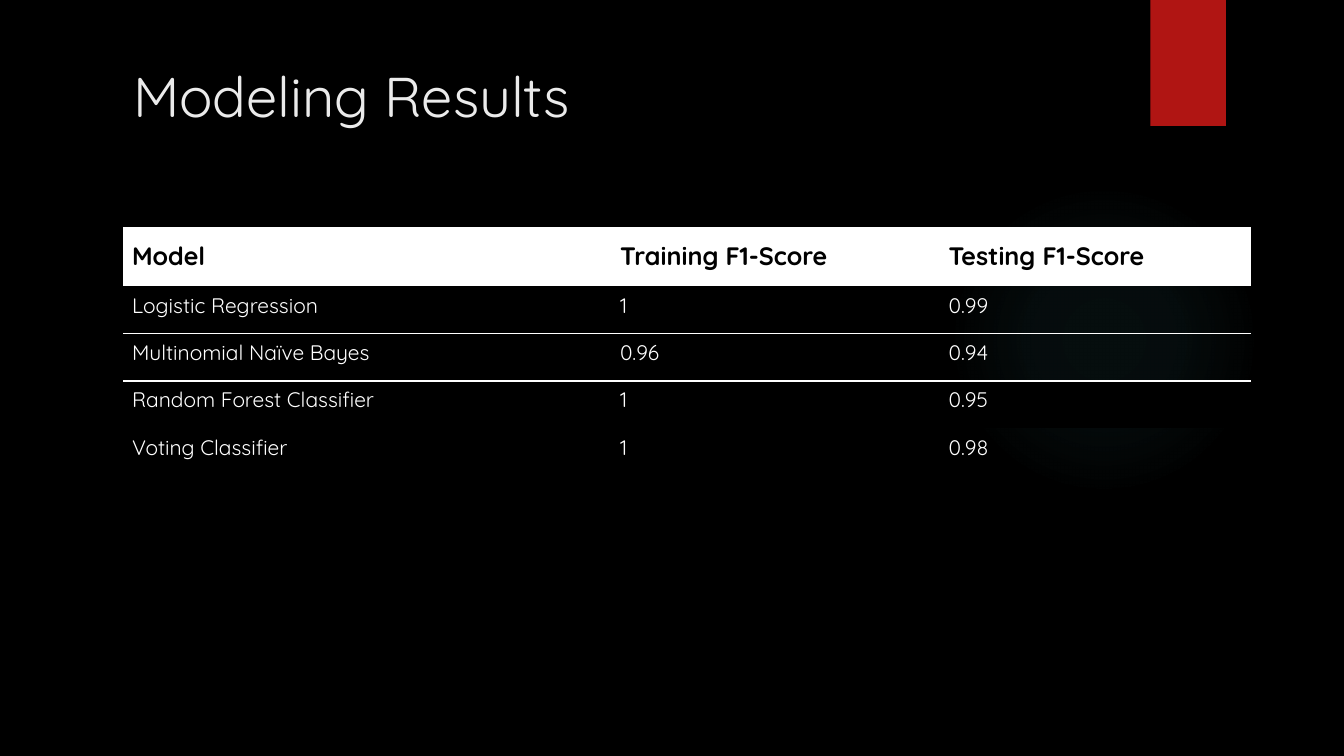
from dataclasses import dataclass

from pptx import Presentation
from pptx.dml.color import RGBColor
from pptx.enum.shapes import MSO_SHAPE as Shape
from pptx.enum.text import MSO_ANCHOR as Anchor, PP_ALIGN as Align
from pptx.oxml import parse_xml
from pptx.oxml.ns import nsdecls, qn
from pptx.util import Inches, Pt


@dataclass(frozen=True)
class Theme:
    font: str = "Quicksand"
    black: str = "000000"
    white: str = "FFFFFF"
    title: str = "EBEBEB"
    ribbon: str = "B01513"
    glow: str = "50B9C1"
    title_size: int = 40
    header_size: int = 18
    body_size: int = 15


THEME = Theme()
PLAIN_TABLE_STYLE = "{2D5ABB26-0587-4C30-8999-92F81FD0307C}"
COLUMN_WIDTHS = (4.84, 3.26, 3.09)
HEADER_HEIGHT, ROW_HEIGHT = 0.59, 0.47
RESULTS = (
    ("Model", "Training F1-Score", "Testing F1-Score"),
    ("Logistic Regression", "1", "0.99"),
    ("Multinomial Naïve Bayes", "0.96", "0.94"),
    ("Random Forest Classifier", "1", "0.95"),
    ("Voting Classifier", "1", "0.98"),
)
RULED_ROWS = (1, 2)
BLACK_ROW = 3


def format_text(frame, size, color, bold=False):
    for para in frame.paragraphs:
        para.alignment = Align.LEFT
        for span in para.runs:
            span.font.name = THEME.font
            span.font.size = Pt(size)
            span.font.bold = bold
            span.font.color.rgb = RGBColor.from_string(color)


def add_plain_shape(page, kind, box):
    shape = page.shapes.add_shape(kind, *map(Inches, box))
    shape.shadow.inherit = False
    shape.line.fill.background()
    return shape


def add_glow(page, box):
    """Add a circle that fades out from its centre."""
    glow = add_plain_shape(page, Shape.OVAL, box)
    glow.fill.background()
    stops = "".join(
        f'<a:gs pos="{place * 1000}"><a:srgbClr val="{THEME.glow}">'
        f'<a:alpha val="{alpha * 1000}"/></a:srgbClr></a:gs>'
        for place, alpha in ((0, 7), (36, 6), (69, 0))
    )
    gradient = parse_xml(
        f'<a:gradFill {nsdecls("a")} rotWithShape="1"><a:gsLst>{stops}</a:gsLst>'
        '<a:path path="circle"><a:fillToRect l="50000" t="50000" r="50000" '
        'b="50000"/></a:path></a:gradFill>'
    )
    properties = glow.element.spPr
    properties.replace(properties.find(qn("a:noFill")), gradient)


def add_ribbon(page, box):
    ribbon = add_plain_shape(page, Shape.RECTANGLE, box)
    ribbon.fill.solid()
    ribbon.fill.fore_color.rgb = RGBColor.from_string(THEME.ribbon)


def place_title(page, text, box):
    title = page.shapes.title
    title.left, title.top, title.width, title.height = map(Inches, box)
    frame = title.text_frame
    frame.text = text
    frame.vertical_anchor = Anchor.TOP
    format_text(frame, THEME.title_size, THEME.title)
    title.element.getparent().append(title.element)


def set_borders(cell, ruled_sides):
    """Rule the given sides in white and clear the others."""
    properties = cell._tc.get_or_add_tcPr()
    for index, side in enumerate("LRTB"):
        fill = "<a:noFill/>"
        if side in ruled_sides:
            fill = f'<a:solidFill><a:srgbClr val="{THEME.white}"/></a:solidFill>'
        border = parse_xml(
            f'<a:ln{side} {nsdecls("a")} w="{Pt(1)}">{fill}</a:ln{side}>'
        )
        properties.insert(index, border)


def fill_cell(cell, text, row):
    header = row == 0
    cell.text_frame.text = text
    cell.vertical_anchor = Anchor.MIDDLE if header else Anchor.TOP
    cell.margin_left, cell.margin_right = Inches(0.09), Inches(0.06)
    cell.margin_top = Inches(0.13 if header else 0.06)
    cell.margin_bottom = Inches(0.13)
    if header:
        format_text(cell.text_frame, THEME.header_size, THEME.black, bold=True)
    else:
        format_text(cell.text_frame, THEME.body_size, THEME.white)

    if header or row == BLACK_ROW:
        cell.fill.solid()
        color = THEME.white if header else THEME.black
        cell.fill.fore_color.rgb = RGBColor.from_string(color)
    else:
        cell.fill.background()
    top = "T" if row - 1 in RULED_ROWS else ""
    bottom = "B" if row in RULED_ROWS else ""
    set_borders(cell, top + bottom)


def add_results_table(page, left, top):
    heights = [HEADER_HEIGHT] + [ROW_HEIGHT] * (len(RESULTS) - 1)
    box = (left, top, sum(COLUMN_WIDTHS), sum(heights))
    holder = page.shapes.add_table(
        len(RESULTS), len(COLUMN_WIDTHS), *map(Inches, box)
    )
    table = holder.table
    table.horz_banding = False
    table._tbl.tblPr.find(qn("a:tableStyleId")).text = PLAIN_TABLE_STYLE
    for column, width in zip(table.columns, COLUMN_WIDTHS):
        column.width = Inches(width)
    for index, (row, height, values) in enumerate(zip(table.rows, heights, RESULTS)):
        row.height = Inches(height)
        for cell, value in zip(row.cells, values):
            fill_cell(cell, value, index)


def build_results_page(deck):
    page = deck.slides.add_slide(deck.slide_layouts[5])
    page.background.fill.solid()
    page.background.fill.fore_color.rgb = RGBColor.from_string(THEME.black)
    add_glow(page, (9.41, 1.83, 3.08, 3.08))
    add_ribbon(page, (11.41, 0, 0.75, 1.25))
    place_title(page, "Modeling Results", (1.22, 0.56, 11.19, 1.11))
    add_results_table(page, 1.22, 2.25)


def main():
    deck = Presentation()
    deck.slide_width, deck.slide_height = Inches(13.33), Inches(7.5)
    build_results_page(deck)
    deck.save("out.pptx")


if __name__ == "__main__":
    main()
